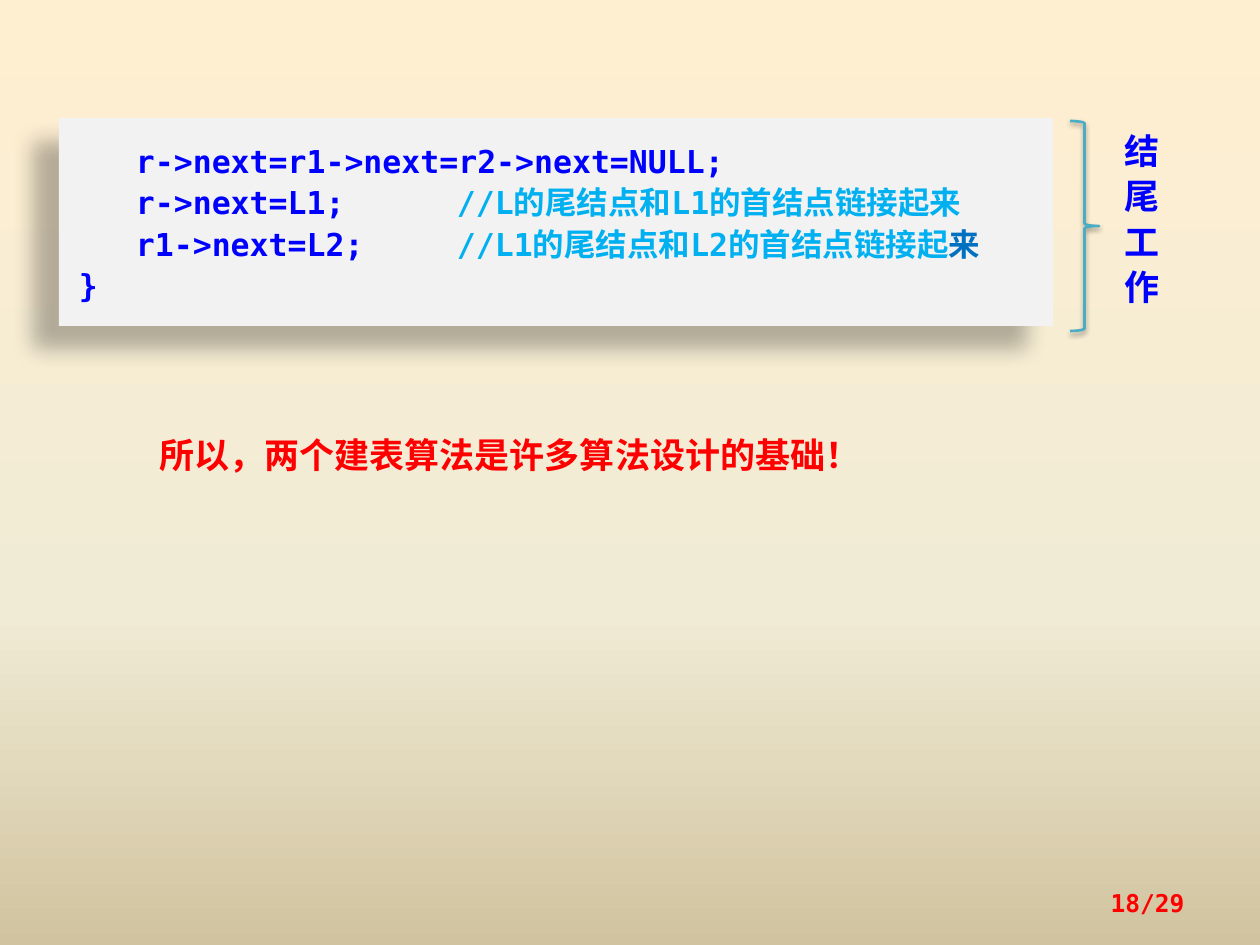
from lxml.etree import SubElement
from pptx import Presentation
from pptx.dml.color import RGBColor
from pptx.enum.shapes import MSO_SHAPE
from pptx.enum.text import MSO_ANCHOR, MSO_AUTO_SIZE, PP_ALIGN
from pptx.oxml.ns import qn
from pptx.util import Emu, Pt

SCALE = 914400 / 126
FONT = "DejaVu Sans Mono"
BLUE, CYAN, RED = "0000FF", "00B0F0", "FF0000"
CODE_LINES = [
    [("\tr->next=r1->next=r2->next=NULL;", BLUE)],
    [("\tr->next=L1;\t", BLUE), ("//L的尾结点和L1的首结点链接起来", CYAN)],
    [("\tr1->next=L2;\t", BLUE), ("//L1的尾结点和L2的首结点链接起", CYAN), ("来", "0070C0")],
    [("}", BLUE)],
]


def px(length):
    return Emu(round(length * SCALE))


def color(value):
    return RGBColor.from_string(value)


def add_child(parent, tag, **values):
    return SubElement(parent, qn(tag), {name: str(value) for name, value in values.items()})


def apply(target, formats):
    for name, value in formats.items():
        setattr(target, name, value)


def add_color(parent, value, alpha=100):
    node = add_child(parent, "a:srgbClr", val=value)
    if alpha < 100:
        add_child(node, "a:alpha", val=alpha * 1000)


def paint_background(page, stops):
    fill = page.background.fill
    fill.gradient()
    gradient = page.background._cSld.find(".//" + qn("a:gradFill"))
    for child in list(gradient):
        gradient.remove(child)
    stop_list = add_child(gradient, "a:gsLst")
    for position, value in stops:
        add_color(add_child(stop_list, "a:gs", pos=position * 1000), value)
    add_child(gradient, "a:lin", ang=90 * 60000, scaled=0)


def add_shadow(shape, alpha, blur, distance, angle):
    shape.shadow.inherit = False
    effects = shape._element.spPr.find(qn("a:effectLst"))
    shadow = add_child(effects, "a:outerShdw", blurRad=Pt(blur), dist=Pt(distance),
                       dir=angle * 60000, algn="ctr", rotWithShape=0)
    add_color(shadow, "000000", alpha)


def write_lines(frame, lines, size, align=PP_ALIGN.LEFT, spacing=1.1):
    for index, spans in enumerate(lines):
        para = frame.paragraphs[0] if index == 0 else frame.add_paragraph()
        apply(para, {"alignment": align, "line_spacing": spacing})
        for text, value in spans:
            span = para.add_run()
            span.text = text
            apply(span.font, {"name": FONT, "size": Pt(size), "bold": True})
            span.font.color.rgb = color(value)


def add_code_panel(page, box, lines):
    panel = page.shapes.add_shape(MSO_SHAPE.RECTANGLE, *map(px, box))
    panel.fill.solid()
    panel.fill.fore_color.rgb = color("F2F2F2")
    panel.line.fill.background()
    add_shadow(panel, 28, 11.8, 19.7, 141)
    frame = panel.text_frame
    apply(frame, {"margin_left": px(20), "margin_top": px(20), "margin_bottom": px(20),
                  "margin_right": px(13), "word_wrap": True,
                  "vertical_anchor": MSO_ANCHOR.TOP,
                  "auto_size": MSO_AUTO_SIZE.SHAPE_TO_FIT_TEXT})
    write_lines(frame, lines, 18)
    for para in frame.paragraphs:
        tabs = add_child(para._p.get_or_add_pPr(), "a:tabLst")
        for position in (57, 378):
            add_child(tabs, "a:tab", pos=px(position), algn="l")


def add_label(page, box, text, value, size, align=PP_ALIGN.LEFT, **formats):
    label = page.shapes.add_textbox(*map(px, box))
    apply(label.text_frame, {"word_wrap": True, **formats})
    write_lines(label.text_frame, [[(text, value)]], size, align)
    return label


def add_brace_note(page, box, text):
    left, top, width, height = box
    brace = page.shapes.add_shape(MSO_SHAPE.RIGHT_BRACE, *map(px, (left, top, 29, height)))
    brace.fill.background()
    brace.line.color.rgb = color("4BACC6")
    brace.line.width = Pt(1.5)
    add_shadow(brace, 38, 3.1, 1.6, 90)
    note = add_label(page, (left + 33, top, width - 33, height), text, BLUE, 20, PP_ALIGN.CENTER)
    note.text_frame._txBody.bodyPr.set("vert", "eaVert")
    note.text_frame.paragraphs[0].runs[0].font._element.set("spc", "600")


deck = Presentation()
apply(deck, {"slide_width": px(1260), "slide_height": px(945)})
page = deck.slides.add_slide(deck.slide_layouts[6])
paint_background(page, [(0, "FFEFD1"), (65, "F0EBD5"), (100, "D1C39F")])
add_code_panel(page, (59, 118, 994, 208), CODE_LINES)
add_brace_note(page, (1070, 121, 102, 210), "结尾工作")
add_label(page, (147, 423, 759, 57), "所以，两个建表算法是许多算法设计的基础！", RED, 20,
          auto_size=MSO_AUTO_SIZE.SHAPE_TO_FIT_TEXT)
add_label(page, (903, 876, 294, 50), "18/29", RED, 14, PP_ALIGN.RIGHT,
          vertical_anchor=MSO_ANCHOR.MIDDLE)
deck.save("out.pptx")
